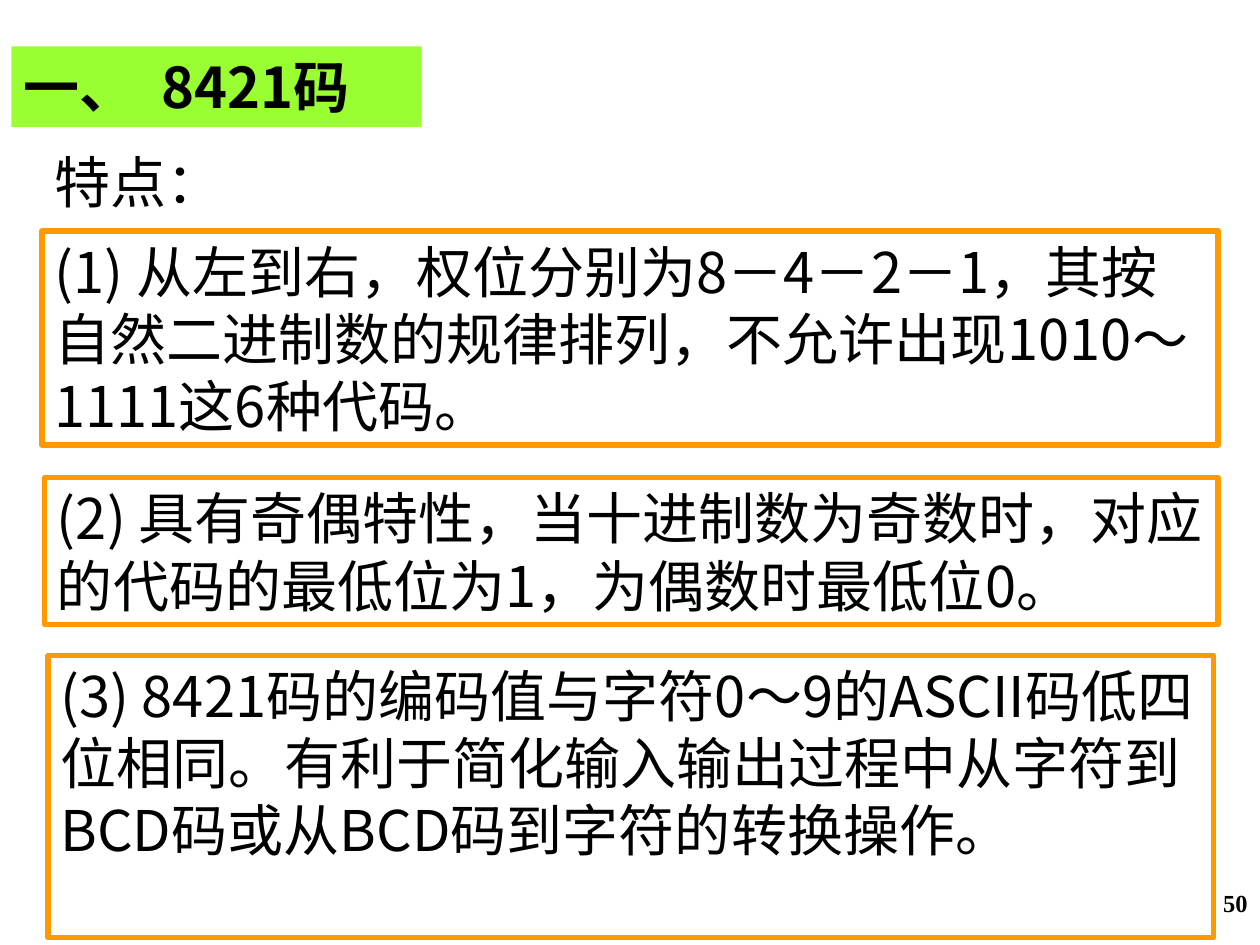
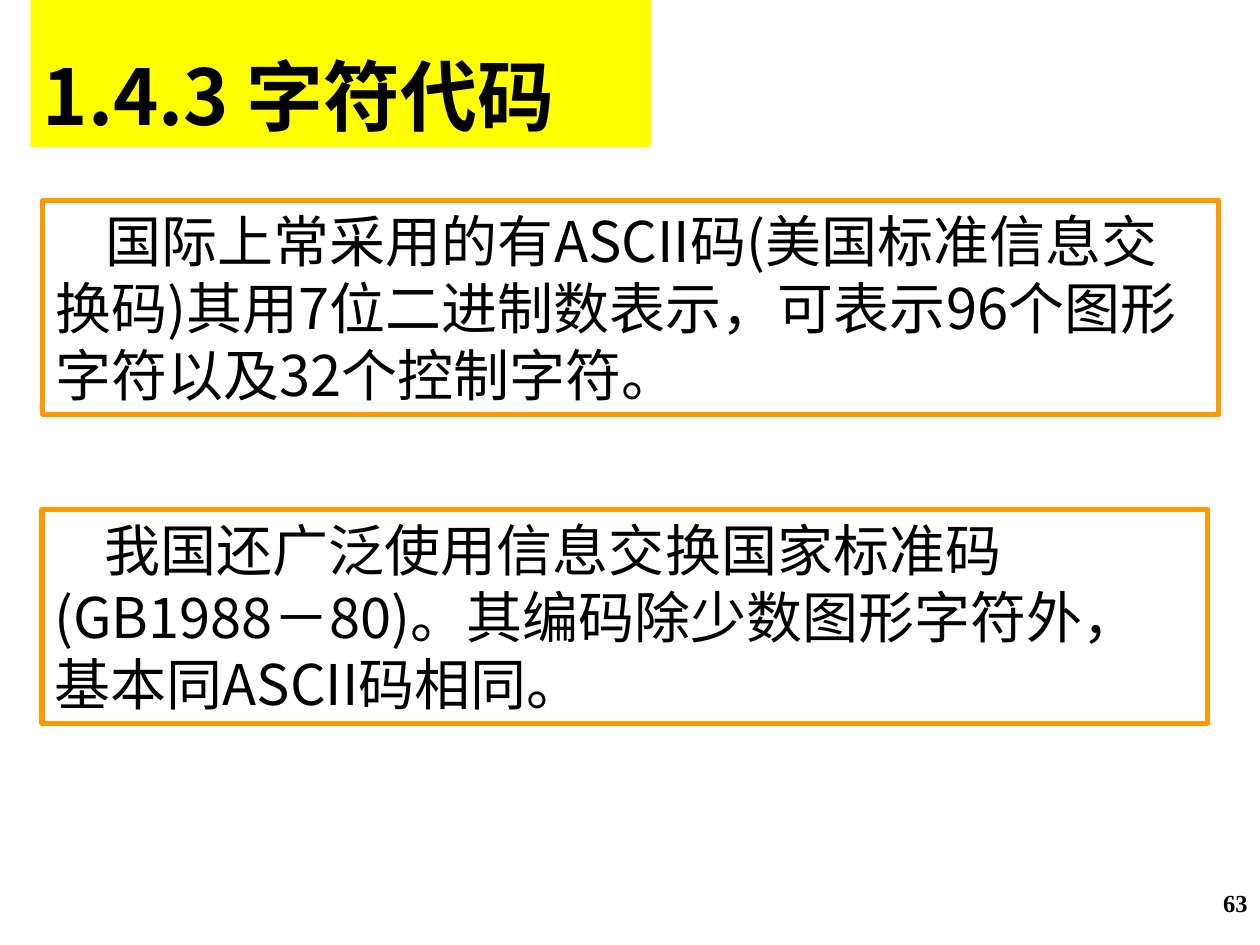
import pptx
import pptx.util
import pptx.dml.color
import pptx.enum.shapes
import pptx.enum.text
import pptx.oxml.ns
import lxml.etree

Pt = pptx.util.Pt
RGBColor = pptx.dml.color.RGBColor
PP_ALIGN = pptx.enum.text.PP_ALIGN
MSO_ANCHOR = pptx.enum.text.MSO_ANCHOR

BLACK = RGBColor(0x00, 0x00, 0x00)
GREEN = RGBColor(0x99, 0xFF, 0x33)
YELLOW = RGBColor(0xFF, 0xFF, 0x00)
ORANGE = RGBColor(0xFF, 0x99, 0x00)
BODY_FONT = "Noto Sans CJK SC"
NUMBER_FONT = "Times New Roman"
BODY_SIZE = 32
FIRST_LINE_INDENT = 28.8


def write(shape, text, size=BODY_SIZE, font=BODY_FONT, bold=False, wrap=True,
          align=PP_ALIGN.LEFT, anchor=MSO_ANCHOR.TOP, indent=0):
    frame = shape.text_frame
    frame.word_wrap = wrap
    frame.vertical_anchor = anchor
    paragraph = frame.paragraphs[0]
    paragraph.alignment = align
    if indent:
        paragraph._p.get_or_add_pPr().set("indent", str(Pt(indent)))
    run = paragraph.add_run()
    run.text = text
    run.font.size = Pt(size)
    run.font.bold = bold
    run.font.name = font
    run.font.color.rgb = BLACK
    east_asian = lxml.etree.SubElement(run._r.get_or_add_rPr(), pptx.oxml.ns.qn("a:ea"))
    east_asian.set("typeface", font)


def add_panel(slide, bounds, fill=None, line=None):
    panel = slide.shapes.add_shape(
        pptx.enum.shapes.MSO_SHAPE.RECTANGLE, *[Pt(length) for length in bounds])
    panel.shadow.inherit = False
    if fill is None:
        panel.fill.background()
    else:
        panel.fill.solid()
        panel.fill.fore_color.rgb = fill
    if line is None:
        panel.line.fill.background()
    else:
        panel.line.color.rgb = line
        panel.line.width = Pt(3)
    return panel


deck = pptx.Presentation()
deck.slide_width = Pt(720)
deck.slide_height = Pt(540)

pages = [
    {
        "number": "50",
        "heading": ("一、\u00a0 8421码", (6.5, 26.5, 234.5, 46), GREEN, 32, False, MSO_ANCHOR.TOP),
        "indent": 0,
        "points": [
            ((24, 132, 672, 122.4),
             "(1) 从左到右，权位分别为8－4－2－1，其按自然二进制数的规律排列，"
             "不允许出现1010～1111这6种代码。"),
            ((25.5, 273, 670.5, 84),
             "(2) 具有奇偶特性，当十进制数为奇数时，对应的代码的最低位为1，为偶数时最低位0。"),
            ((27.4, 374.5, 666, 161.3),
             "(3) 8421码的编码值与字符0～9的ASCII码低四位相同。"
             "有利于简化输入输出过程中从字符到BCD码或从BCD码到字符的转换操作。"),
        ],
    },
    {
        "number": "63",
        "heading": ("1.4.3 字符代码", (17.5, -28.8, 354.5, 113), YELLOW, 44, True, MSO_ANCHOR.BOTTOM),
        "indent": FIRST_LINE_INDENT,
        "points": [
            ((24.5, 114.5, 672, 122.4),
             "国际上常采用的有ASCII码(美国标准信息交换码)其用7位二进制数表示，"
             "可表示96个图形字符以及32个控制字符。"),
            ((24, 291, 666, 122.4),
             "我国还广泛使用信息交换国家标准码(GB1988－80)。"
             "其编码除少数图形字符外，基本同ASCII码相同。"),
        ],
    },
]

slides = []
for page in pages:
    slide = deck.slides.add_slide(deck.slide_layouts[6])
    slides.append(slide)

    page_number = slide.shapes.add_textbox(Pt(570), Pt(504), Pt(150), Pt(36))
    write(page_number, page["number"], 14, NUMBER_FONT, bold=True, align=PP_ALIGN.RIGHT)

    title, bounds, colour, size, wrap, anchor = page["heading"]
    heading = add_panel(slide, bounds, fill=colour)
    write(heading, title, size, bold=True, wrap=wrap, anchor=anchor)

    for bounds, text in page["points"]:
        point = add_panel(slide, bounds, line=ORANGE)
        write(point, text, indent=page["indent"])

features_label = slides[0].shapes.add_textbox(Pt(24), Pt(80.5), Pt(110), Pt(46))
write(features_label, "特点：", wrap=False)

deck.save("out.pptx")
